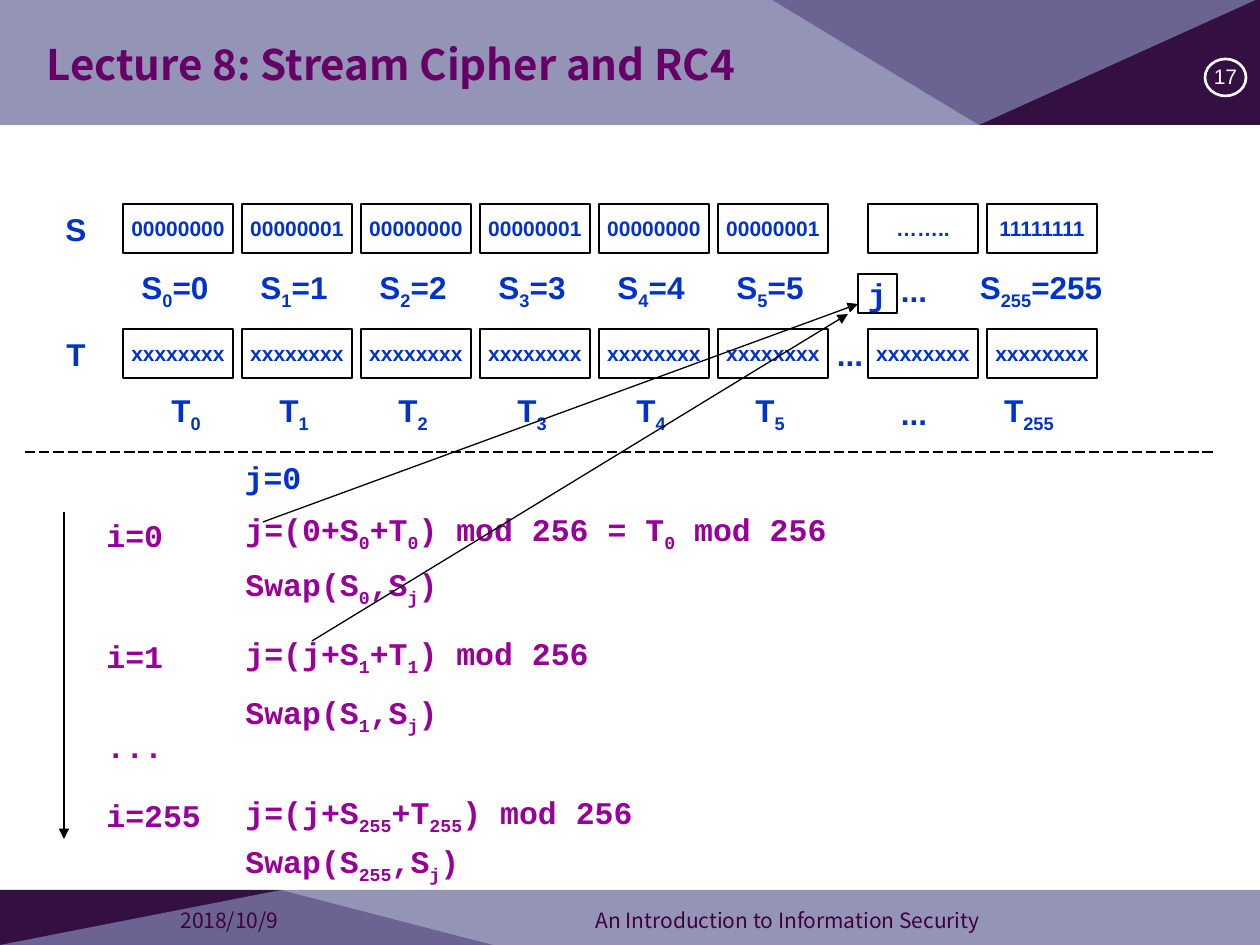
from dataclasses import dataclass

from lxml.etree import SubElement
from pptx import Presentation
from pptx.dml.color import RGBColor
from pptx.enum.dml import MSO_LINE
from pptx.enum.shapes import MSO_CONNECTOR, MSO_SHAPE
from pptx.enum.text import MSO_ANCHOR, MSO_AUTO_SIZE, PP_ALIGN
from pptx.oxml.ns import qn
from pptx.util import Emu, Pt

EMU_PER_PX = 914400 / 126


@dataclass(frozen=True)
class Theme:
    sans: str = "Arial"
    mono: str = "Courier New"
    heading: str = "Noto Sans CJK SC"
    blue: str = "0033CC"
    purple: str = "990099"
    title: str = "660066"
    footer: str = "3E003E"
    dark_band: str = "330F42"
    light_band: str = "7A7AA6"
    black: str = "000000"
    white: str = "FFFFFF"
    title_size: int = 24
    text_size: int = 18
    small_size: int = 12
    thin_line: float = 0.75
    badge_line: float = 1.5


THEME = Theme()

# Underscores enclose subscripts: "S_0_=0".
TITLE = "Lecture 8: Stream Cipher and RC4"
FOOTERS = [("2018/10/9", 168, 294), ("An Introduction to Information Security", 583, 602)]
BANDS = [
    (THEME.dark_band, 100, [(0, 945), (0, 890), (281, 890), (493, 945)]),
    (THEME.light_band, 80, [(0, 945), (281, 890), (1260, 890), (1260, 945)]),
    (THEME.dark_band, 100, [(1260, -2), (1260, 125), (979, 125), (769, -2)]),
    (THEME.light_band, 80, [(1260, -2), (979, 125), (0, 125), (0, -2)]),
]

CELL_WIDTH, CELL_HEIGHT, CELL_STEP = 110, 49, 119
LABEL_WIDTH = 44
COLUMNS = [123 + CELL_STEP * i for i in range(6)] + [868, 868 + CELL_STEP]
ARRAYS = [
    # name, cell top, label top, cell values, labels, label offsets within a column
    ("S", 204, 265, ["00000000", "00000001"] * 3 + ["……..", "11111111"],
     [f"S_{i}_={i}" for i in range(6)] + ["...", "S_255_=255"],
     [30] * 6 + [24, 32]),
    ("T", 329, 388, ["xxxxxxxx"] * 8,
     [f"T_{i}_" for i in range(6)] + ["...", "T_255_"],
     [41] + [30] * 5 + [24, 20]),
]

STEP_LEFT, CODE_LEFT = 94, 233
STEPS = [("i=0", 510), ("i=1", 631), ("...", 721), ("i=255", 790)]
CODE = [
    ("j=(0+S_0_+T_0_) mod 256 = T_0_ mod 256", 507),
    ("Swap(S_0_,S_j_)", 562),
    ("j=(j+S_1_+T_1_) mod 256", 631),
    ("Swap(S_1_,S_j_)", 690),
    ("j=(j+S_255_+T_255_) mod 256", 790),
    ("Swap(S_255_,S_j_)", 839),
]
DIVIDER = ((25, 452), (1216, 452))
ARROWS = [((64, 512), (64, 839)), ((263, 522), (858, 304)), ((312, 641), (848, 314))]


def px(value):
    return Emu(round(value * EMU_PER_PX))


def color(value):
    return RGBColor.from_string(value)


def write(shape, text, size, font, text_color, bold=True, align=PP_ALIGN.CENTER, wrap=False):
    frame = shape.text_frame
    frame.auto_size = MSO_AUTO_SIZE.NONE
    frame.word_wrap = wrap
    frame.vertical_anchor = MSO_ANCHOR.MIDDLE
    paragraph = frame.paragraphs[0]
    paragraph.alignment = align
    for index, part in enumerate(text.split("_")):
        if not part:
            continue
        run = paragraph.add_run()
        run.text = part
        run.font.size = Pt(size)
        run.font.name = font
        run.font.bold = bold
        run.font.color.rgb = color(text_color)
        if index % 2:
            run._r.get_or_add_rPr().set("baseline", "-25000")


def add_text(shapes, text, left, top, width, height, size=THEME.text_size, font=THEME.sans,
             text_color=THEME.blue, **options):
    box = shapes.add_textbox(px(left), px(top), px(width), px(height))
    write(box, text, size, font, text_color, **options)


def add_outlined(shapes, kind, left, top, width, height, line_color, line_width):
    shape = shapes.add_shape(kind, px(left), px(top), px(width), px(height))
    shape.shadow.inherit = False
    shape.fill.background()
    shape.line.color.rgb = color(line_color)
    shape.line.width = Pt(line_width)
    return shape


def add_cell(shapes, text, left, top, width, height, size, font):
    cell = add_outlined(shapes, MSO_SHAPE.RECTANGLE, left, top, width, height,
                        THEME.black, THEME.thin_line)
    write(cell, text, size, font, THEME.blue)


def add_band(shapes, fill_color, opacity, points):
    builder = shapes.build_freeform(*points[0], scale=EMU_PER_PX)
    builder.add_line_segments(points[1:], close=True)
    band = builder.convert_to_shape()
    band.shadow.inherit = False
    band.line.fill.background()
    band.fill.solid()
    band.fill.fore_color.rgb = color(fill_color)
    if opacity < 100:
        fill = band._element.spPr.find(f".//{qn('a:srgbClr')}")
        SubElement(fill, qn("a:alpha")).set("val", str(opacity * 1000))


def add_line(shapes, start, end, dash=None, arrow=False):
    connector = shapes.add_connector(MSO_CONNECTOR.STRAIGHT, *map(px, start + end))
    connector.line.color.rgb = color(THEME.black)
    connector.line.width = Pt(THEME.thin_line)
    if dash:
        connector.line.dash_style = dash
    if arrow:
        SubElement(connector.line._get_or_add_ln(), qn("a:tailEnd")).set("type", "triangle")
    SubElement(connector._element.spPr, qn("a:effectLst"))


def add_frame(slide):
    """Add the bands, page badge, footers and title."""
    shapes = slide.shapes
    for band in BANDS:
        add_band(shapes, *band)
    badge = add_outlined(shapes, MSO_SHAPE.OVAL, 1205, 59, 41, 37, THEME.white, THEME.badge_line)
    write(badge, "17", THEME.small_size, THEME.sans, THEME.white, bold=False)
    frame = badge.text_frame
    frame.margin_left = frame.margin_right = frame.margin_top = frame.margin_bottom = px(1)
    frame.paragraphs[0].line_spacing = 0.9
    for text, left, width in FOOTERS:
        add_text(shapes, text, left, 902, width, 37, THEME.small_size, THEME.heading,
                 THEME.footer, bold=False, align=PP_ALIGN.LEFT, wrap=True)
    title = shapes.title
    title.left, title.top, title.width, title.height = map(px, (34, 26, 804, 76))
    write(title, TITLE, THEME.title_size, THEME.heading, THEME.title,
          align=PP_ALIGN.LEFT, wrap=True)
    shapes._spTree.append(title._element)  # in front of the bands


def add_arrays(shapes):
    for name, cell_top, label_top, values, labels, offsets in ARRAYS:
        add_text(shapes, name, 54, cell_top, LABEL_WIDTH, CELL_HEIGHT)
        for left, value, label, offset in zip(COLUMNS, values, labels, offsets):
            add_cell(shapes, value, left, cell_top, CELL_WIDTH, CELL_HEIGHT,
                     THEME.small_size, THEME.sans)
            add_text(shapes, label, left + offset, label_top, LABEL_WIDTH, CELL_HEIGHT)
    add_text(shapes, "...", 828, 329, LABEL_WIDTH, CELL_HEIGHT)


def add_algorithm(shapes):
    add_text(shapes, "j=0", 251, 452, LABEL_WIDTH, CELL_HEIGHT, font=THEME.mono)
    for lines, left, width in ((STEPS, STEP_LEFT, 149), (CODE, CODE_LEFT, 586)):
        for text, top in lines:
            add_text(shapes, text, left, top, width, 50, font=THEME.mono,
                     text_color=THEME.purple, align=PP_ALIGN.LEFT)
    add_line(shapes, *DIVIDER, dash=MSO_LINE.LONG_DASH)
    add_cell(shapes, "j", 858, 274, 39, 39, THEME.text_size, THEME.mono)
    for start, end in ARROWS:
        add_line(shapes, start, end, arrow=True)


def main():
    presentation = Presentation()
    presentation.slide_width, presentation.slide_height = px(1260), px(945)
    slide = presentation.slides.add_slide(presentation.slide_layouts[5])
    add_frame(slide)
    add_arrays(slide.shapes)
    add_algorithm(slide.shapes)
    presentation.save("out.pptx")


if __name__ == "__main__":
    main()
